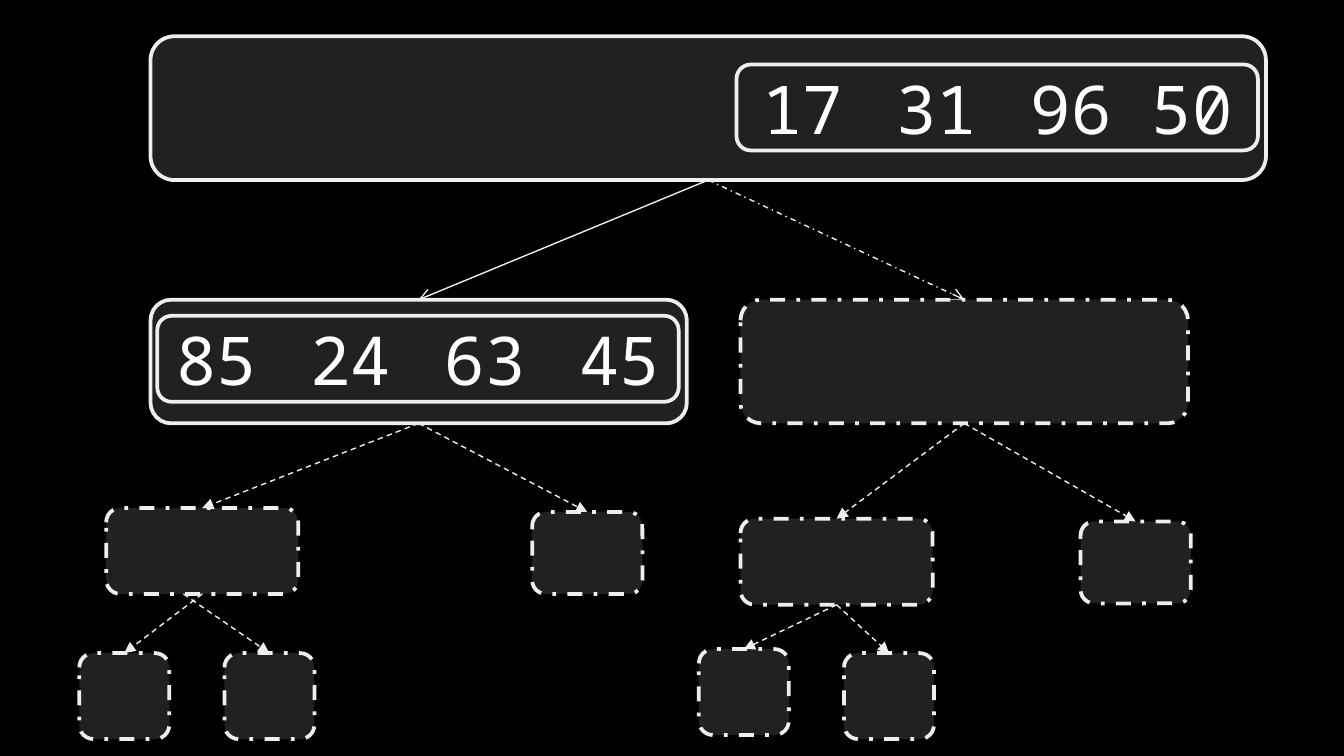
from dataclasses import dataclass

from lxml import etree
from pptx import Presentation
from pptx.dml.color import RGBColor
from pptx.enum.dml import MSO_LINE
from pptx.enum.shapes import MSO_CONNECTOR, MSO_SHAPE
from pptx.enum.text import MSO_ANCHOR, PP_ALIGN
from pptx.oxml.ns import qn
from pptx.util import Inches, Pt

ROUND = MSO_SHAPE.ROUNDED_RECTANGLE
STRAIGHT = MSO_CONNECTOR.STRAIGHT
DASH = MSO_LINE.DASH
DASH_DOT = MSO_LINE.DASH_DOT
MIDDLE = MSO_ANCHOR.MIDDLE
CENTER = PP_ALIGN.CENTER

# Grid: 100 columns by 56.25 rows of square cells (16:9)
COLS, ROWS = 100, 56.25
CELL = Inches(10) / COLS


@dataclass(frozen=True)
class Theme:
    back: RGBColor = RGBColor(0, 0, 0)
    fill: RGBColor = RGBColor(0x21, 0x21, 0x21)
    edge: RGBColor = RGBColor(0xEE, 0xEE, 0xEE)
    ink: RGBColor = RGBColor(0xFF, 0xFF, 0xFF)
    font: str = "Noto Sans Mono"
    size: Pt = Pt(36)
    border: Pt = Pt(2)
    arrow: Pt = Pt(0.75)


THEME = Theme()


@dataclass(frozen=True)
class Box:
    """A node's area, in grid cells."""
    x: float
    y: float
    w: float
    h: float

    def inner(self, dx, dy, w, h):
        return Box(self.x + dx, self.y + dy, w, h)

    def top(self):
        return self.x + self.w / 2, self.y

    def foot(self, shift=0):
        return self.x + self.w / 2 + shift, self.y + self.h


def grid(*cells):
    return [round(cell * CELL) for cell in cells]


def draw_node(slide, box, dash=None):
    node = slide.shapes.add_shape(ROUND, *grid(box.x, box.y, box.w, box.h))
    node.shadow.inherit = False
    node.fill.solid()
    node.fill.fore_color.rgb = THEME.fill
    node.line.color.rgb = THEME.edge
    node.line.width = THEME.border
    if dash is not None:
        node.line.dash_style = dash
    return node


def draw_keys(slide, box, text):
    """A solid node that holds a row of numbers."""
    frame = draw_node(slide, box).text_frame
    frame.word_wrap = True
    frame.vertical_anchor = MIDDLE
    para = frame.paragraphs[0]
    para.alignment = CENTER
    run = para.add_run()
    run.text = text
    run.font.name = THEME.font
    run.font.size = THEME.size
    run.font.color.rgb = THEME.ink


def draw_link(slide, start, end, dash=DASH, head="triangle"):
    link = slide.shapes.add_connector(STRAIGHT, *grid(*start, *end))
    link.line.color.rgb = THEME.edge
    link.line.width = THEME.arrow
    if dash is not None:
        link.line.dash_style = dash
    # Arrowhead at the child's end, and no shadow
    etree.SubElement(link.line._get_or_add_ln(), qn("a:tailEnd"), type=head)
    etree.SubElement(link._element.spPr, qn("a:effectLst"))


def draw_branch(slide, box, left, right, leaves, dash=None):
    """A node, its two children, and the leaves of the left child.

    Children are (dx, dy) from the branch; leaves are (dx, dy, shift)
    from the left child, where shift moves the start of the link.
    """
    draw_node(slide, box, dash)
    wide = box.inner(*left, 14.3, 6.4)
    small = box.inner(*right, 8.2, 6.1)
    for child in (wide, small):
        draw_node(slide, child, DASH_DOT)
        draw_link(slide, box.foot(), child.top())
    for dx, dy, shift in leaves:
        leaf = wide.inner(dx, dy, 6.7, 6.4)
        draw_node(slide, leaf, DASH_DOT)
        draw_link(slide, wide.foot(shift), leaf.top())


def draw_tree(slide, area):
    root = area.inner(0, 0, 83, 10.7)
    west = area.inner(0, 19.6, 39.9, 9.2)
    east = area.inner(43.9, 19.6, 33.3, 9.2)

    # Links from the root
    for child, dash in ((west, None), (east, DASH_DOT)):
        draw_link(slide, root.foot(), child.top(), dash, "arrow")

    # Left and right halves
    draw_branch(slide, west, (-3.3, 15.5), (28.4, 15.8),
                [(-2, 10.8, 0), (8.8, 10.8, -1.4)])
    draw_branch(slide, east, (0, 16.3), (25.3, 16.5),
                [(-3.1, 9.7, 0), (7.7, 10, 0)], DASH_DOT)

    # Root and the two rows of numbers
    draw_node(slide, root)
    draw_keys(slide, root.inner(43.6, 2.1, 38.8, 6.4), "17\t31\t96 50")
    draw_keys(slide, west.inner(0.5, 1.2, 38.8, 6.4), "85\t24\t63\t45")


def main():
    deck = Presentation()
    deck.slide_width, deck.slide_height = grid(COLS, ROWS)
    slide = deck.slides.add_slide(deck.slide_layouts[6])
    slide.background.fill.solid()
    slide.background.fill.fore_color.rgb = THEME.back
    draw_tree(slide, Box(11.2, 2.7, 83, 52.3))
    deck.save("out.pptx")


if __name__ == "__main__":
    main()
